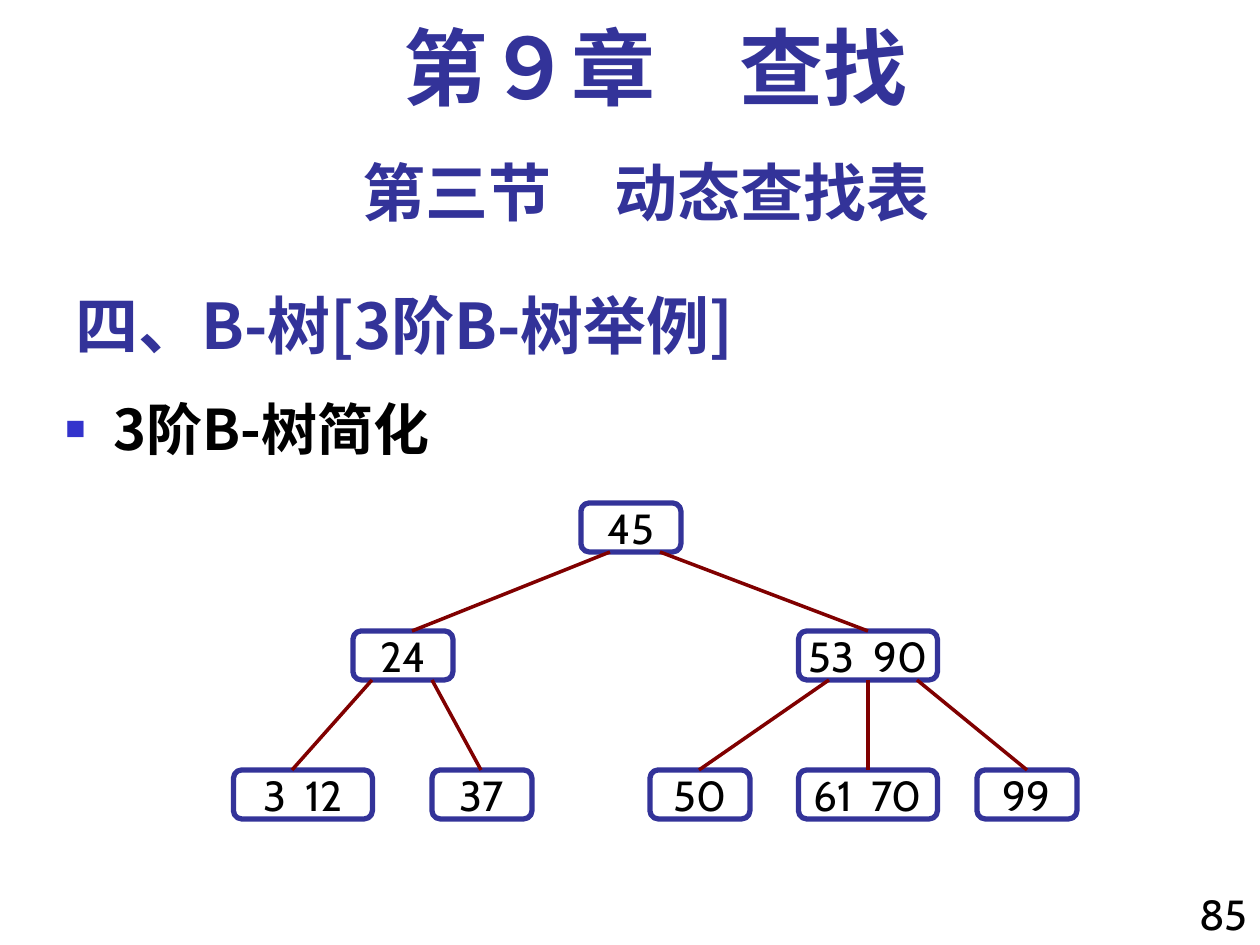
from dataclasses import dataclass

from lxml import etree
from pptx import Presentation
from pptx.dml.color import RGBColor
from pptx.enum.shapes import MSO_CONNECTOR, MSO_SHAPE
from pptx.enum.text import MSO_ANCHOR, MSO_AUTO_SIZE, PP_ALIGN
from pptx.oxml.ns import qn
from pptx.util import Emu, Pt

STRAIGHT = MSO_CONNECTOR.STRAIGHT
ROUNDED = MSO_SHAPE.ROUNDED_RECTANGLE
TOP, MIDDLE, BOTTOM = MSO_ANCHOR.TOP, MSO_ANCHOR.MIDDLE, MSO_ANCHOR.BOTTOM
LEFT, CENTER, RIGHT = PP_ALIGN.LEFT, PP_ALIGN.CENTER, PP_ALIGN.RIGHT
NO_FIT, GROW = MSO_AUTO_SIZE.NONE, MSO_AUTO_SIZE.SHAPE_TO_FIT_TEXT

EMU_PER_PX = 914400 / 126


@dataclass(frozen=True)
class Theme:
    heading: str = "333399"
    bullet: str = "3333CC"
    text: str = "000000"
    edge: str = "800000"
    sans: str = "Noto Sans CJK SC"
    label: str = "Cabin"
    serif: str = "Times New Roman"
    chapter_size: int = 48
    heading_size: int = 36
    body_size: int = 32
    label_size: int = 24
    node_line: int = 3
    edge_line: int = 2


THEME = Theme()

NODE_HEIGHT = 49
NODE_WIDTHS = {1: 100, 2: 139}
LEVEL_TOPS = (503, 631, 770)
NODES = (
    (0, 631, ("45",)),
    (1, 403, ("24",)),
    (1, 868, ("53", "90")),
    (2, 303, ("3", "12")),
    (2, 482, ("37",)),
    (2, 700, ("50",)),
    (2, 868, ("61", "70")),
    (2, 1027, ("99",)),
)
EDGES = (
    (0, 610, 412),
    (0, 660, 868),
    (1, 372, 292),
    (1, 432, 481),
    (1, 829, 699),
    (1, 868, 868),
    (1, 917, 1027),
)


def px(length):
    return Emu(round(length * EMU_PER_PX))


def color(value):
    return RGBColor.from_string(value)


def apply(target, values):
    for name, value in values.items():
        setattr(target, name, value)


def write(shape, text, font, frame=None, paragraph_format=None):
    text_frame = shape.text_frame
    apply(text_frame, {"word_wrap": True, "auto_size": NO_FIT, **(frame or {})})
    paragraph = text_frame.paragraphs[0]
    apply(paragraph, paragraph_format or {})
    run = paragraph.add_run()
    run.text = text
    values = dict(font)
    run.font.color.rgb = color(values.pop("color"))
    apply(run.font, values)
    east_asian = etree.SubElement(run.font._element, qn("a:ea"))
    east_asian.set("typeface", THEME.sans)
    return paragraph


def add_text(slide, box, text, font, frame=None, paragraph_format=None):
    shape = slide.shapes.add_textbox(*map(px, box))
    return write(shape, text, font, frame, paragraph_format)


def add_bullet(paragraph, indent):
    properties = paragraph._p.get_or_add_pPr()
    properties.set("marL", str(px(indent)))
    properties.set("indent", str(-px(indent)))
    bullet_color = etree.SubElement(properties, qn("a:buClr"))
    etree.SubElement(bullet_color, qn("a:srgbClr"), val=THEME.bullet)
    etree.SubElement(properties, qn("a:buSzPct"), val="60000")
    etree.SubElement(properties, qn("a:buFont"), typeface=THEME.serif)
    etree.SubElement(properties, qn("a:buChar"), char="■")


def add_node(slide, level, center, keys):
    width = NODE_WIDTHS[len(keys)]
    box = (center - width / 2, LEVEL_TOPS[level], width, NODE_HEIGHT)
    shape = slide.shapes.add_shape(ROUNDED, *map(px, box))
    shape.shadow.inherit = False
    shape.adjustments[0] = 0.17
    shape.fill.background()
    shape.line.color.rgb = color(THEME.heading)
    shape.line.width = Pt(THEME.node_line)
    font = {"name": THEME.label, "size": Pt(THEME.label_size), "color": THEME.text}
    frame = {"word_wrap": False, "vertical_anchor": MIDDLE}
    write(shape, "  ".join(keys), font, frame, {"alignment": CENTER})


def add_edge(slide, level, start, end):
    points = (start, LEVEL_TOPS[level] + NODE_HEIGHT, end, LEVEL_TOPS[level + 1])
    connector = slide.shapes.add_connector(STRAIGHT, *map(px, points))
    connector.line.color.rgb = color(THEME.edge)
    connector.line.width = Pt(THEME.edge_line)
    etree.SubElement(connector._element.spPr, qn("a:effectLst"))


def add_headings(slide):
    heading = {"size": Pt(THEME.heading_size), "bold": True, "color": THEME.heading}
    chapter = {**heading, "name": THEME.serif, "size": Pt(THEME.chapter_size)}
    centered = {"alignment": CENTER}
    add_text(slide, (84, 21, 1144, 105), "第９章　查找", chapter,
             {"vertical_anchor": TOP}, {**centered, "line_spacing": 0.9})
    add_text(slide, (63, 147, 1166, 88), "第三节　动态查找表",
             {**heading, "name": THEME.label}, {"auto_size": GROW}, centered)
    add_text(slide, (63, 273, 861, 95), "四、B-树[3阶B-树举例]",
             {**heading, "name": THEME.sans}, {"vertical_anchor": BOTTOM},
             {"alignment": LEFT})


def add_body(slide):
    font = {"name": THEME.sans, "size": Pt(THEME.body_size), "bold": True,
            "color": THEME.text}
    paragraph = add_text(slide, (53, 388, 1207, 557), "3阶B-树简化", font)
    add_bullet(paragraph, 48)


def add_page_number(slide):
    font = {"name": THEME.label, "size": Pt(THEME.label_size), "color": THEME.text}
    add_text(slide, (1176, 882, 84, 74), "85", font,
             {"auto_size": GROW}, {"alignment": RIGHT})


def main():
    presentation = Presentation()
    presentation.slide_width = px(1260)
    presentation.slide_height = px(945)
    slide = presentation.slides.add_slide(presentation.slide_layouts[6])
    add_headings(slide)
    add_body(slide)
    add_page_number(slide)
    for node in NODES:
        add_node(slide, *node)
    for edge in EDGES:
        add_edge(slide, *edge)
    presentation.save("out.pptx")


if __name__ == "__main__":
    main()
